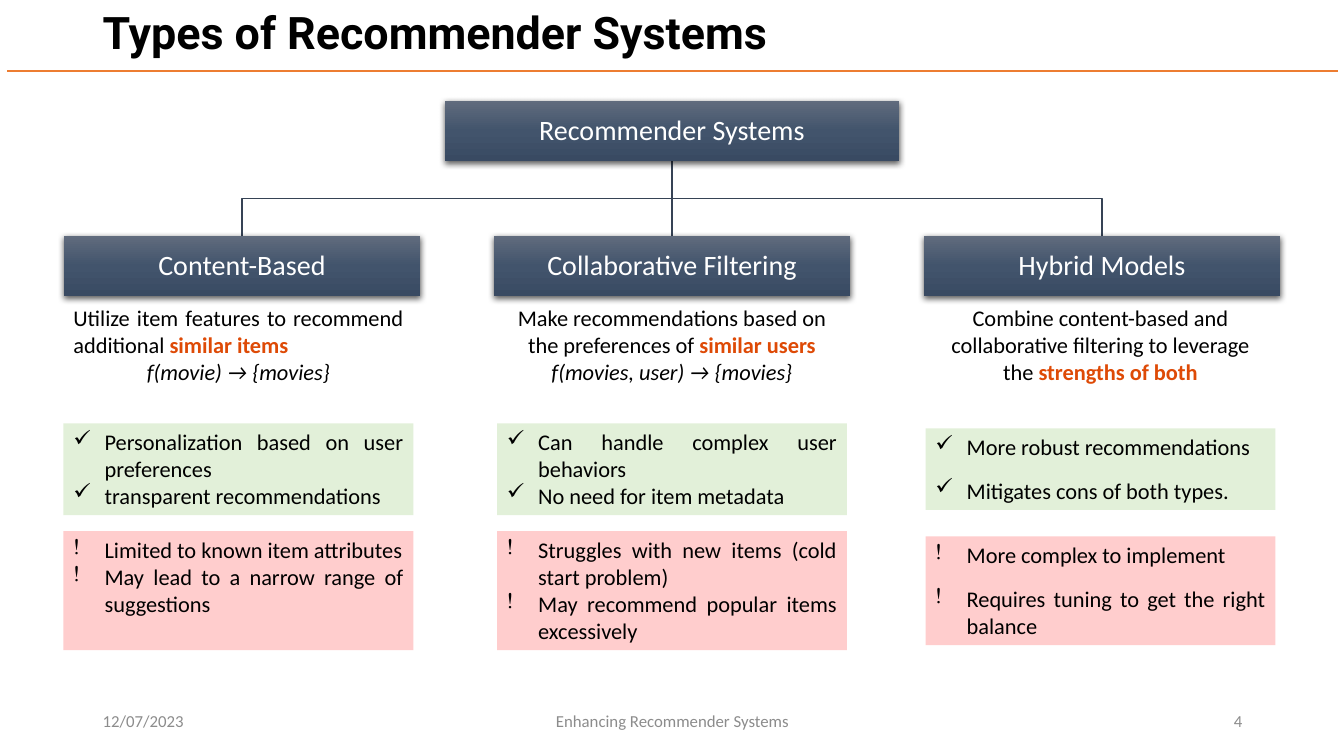
"""Builds the slide on the types of recommender systems."""
from lxml.etree import SubElement
from pptx import Presentation
from pptx.dml.color import RGBColor as RGB
from pptx.enum.shapes import MSO_CONNECTOR as LINE, MSO_SHAPE as SHAPE
from pptx.enum.text import MSO_ANCHOR as ANCHOR, PP_ALIGN as ALIGN
from pptx.oxml import parse_xml
from pptx.oxml.ns import nsdecls, qn
from pptx.util import Inches as In, Pt

BLACK, WHITE, GREY = RGB(0, 0, 0), RGB(255, 255, 255), RGB(0x8C, 0x8C, 0x8C)
ORANGE, ACCENT, NAVY = RGB(0xED, 0x7D, 0x31), RGB(0xDE, 0x4A, 0x06), RGB(0x36, 0x43, 0x55)
GREEN, PINK = RGB(0xE2, 0xF0, 0xD9), RGB(0xFF, 0xCD, 0xCD)
WIDE, HIGH = 13.33, 7.5
MID, STEP = WIDE / 2, 4.265
HEAD, TALL, CARD = 3.53, 0.6, 3.47
ROOT, ROW = 1, 2.34

prs = Presentation()
prs.slide_width, prs.slide_height = In(WIDE), In(HIGH)
slide = prs.slides.add_slide(prs.slide_layouts[6])
shapes = slide.shapes


def add_box(x, y, w, h, fill=None, anchor=ANCHOR.TOP):
    """Add a wrapping text box, or a filled rectangle when a fill is given."""
    place = In(x), In(y), In(w), In(h)
    if fill is None:
        box = shapes.add_textbox(*place)
    else:
        box = shapes.add_shape(SHAPE.RECTANGLE, *place)
        box.shadow.inherit = False
        box.line.fill.background()
        box.fill.solid()
        box.fill.fore_color.rgb = fill
    box.text_frame.word_wrap = True
    box.text_frame.vertical_anchor = anchor
    return box


def style(para, size, color, align, face="Calibri"):
    """Set the alignment of a paragraph and the font of its runs."""
    para.alignment = align
    for run in para.runs:
        run.font.size, run.font.name = Pt(size), face
        run.font.color.rgb = color


rule = shapes.add_connector(LINE.STRAIGHT, In(0.07), In(0.7), In(13.27), In(0.7))
rule.line.color.rgb, rule.line.width = ORANGE, Pt(1.5)
SubElement(rule._element.spPr, qn("a:effectLst"))

title = add_box(0.92, 0.06, 11.5, 0.58, anchor=ANCHOR.MIDDLE).text_frame
title.text = "Types of Recommender Systems"
para = title.paragraphs[0]
style(para, 32, BLACK, ALIGN.LEFT, "Roboto")
para.line_spacing = 0.9
para.runs[0].font.bold = True

for x, w, text, align in [
    (0.92, 3, "12/07/2023", ALIGN.LEFT),
    (4.42, 4.5, "Enhancing Recommender Systems", ALIGN.CENTER),
    (9.42, 3, "4", ALIGN.RIGHT),
]:
    foot = add_box(x, 6.95, w, 0.4, anchor=ANCHOR.MIDDLE).text_frame
    foot.text = text
    style(foot.paragraphs[0], 12, GREY, align)

hubs = [MID + STEP * i for i in (-1, 0, 1)]
turn = (ROOT + TALL + ROW) / 2
for hub in hubs:
    pen = shapes.build_freeform(In(MID), In(ROOT + TALL))
    bends = [(MID, turn), (hub, turn), (hub, ROW)]
    pen.add_line_segments([(In(x), In(y)) for x, y in bends], close=False)
    link = pen.convert_to_shape()
    link.shadow.inherit = False
    link.fill.background()
    link.line.color.rgb, link.line.width = NAVY, Pt(1)

names = ["Content-Based", "Collaborative Filtering", "Hybrid Models"]
nodes = [(MID, ROOT, 4.5, "Recommender Systems")]
nodes += [(hub, ROW, HEAD, name) for hub, name in zip(hubs, names)]
stops = "".join(
    f'<a:gs pos="{pos}"><a:srgbClr val="{tone}"/></a:gs>'
    for pos, tone in [(0, "606B7D"), (50000, "42546C"), (100000, "394A62")]
)
for hub, y, w, name in nodes:
    node = add_box(hub - w / 2, y, w, TALL, NAVY, ANCHOR.MIDDLE)
    props = node._element.spPr
    props.replace(props.find(qn("a:solidFill")), parse_xml(
        f'<a:gradFill {nsdecls("a")} rotWithShape="1"><a:gsLst>{stops}</a:gsLst>'
        '<a:lin ang="5400000" scaled="0"/></a:gradFill>'))
    props.find(qn("a:effectLst")).append(parse_xml(
        f'<a:outerShdw {nsdecls("a")} blurRad="57150" dist="19050" dir="5400000" '
        'algn="ctr" rotWithShape="0"><a:srgbClr val="000000">'
        '<a:alpha val="63000"/></a:srgbClr></a:outerShdw>'))
    frame = node.text_frame
    frame.margin_left = frame.margin_right = In(0.01)
    frame.margin_top = frame.margin_bottom = In(0.01)
    frame.text = name
    style(frame.paragraphs[0], 20, WHITE, ALIGN.CENTER)
    frame.paragraphs[0].line_spacing = 0.9

cols = [
    (0.63, 0, 0,
     [(ALIGN.JUSTIFY, [("Utilize item features to recommend additional ", ""),
                       ("similar items", "key")]),
      (ALIGN.CENTER, [("f(movie) → {movies}", "math")])],
     ["Personalization based on user preferences", "transparent recommendations"],
     ["Limited to known item attributes", "May lead to a narrow range of suggestions"]),
    (4.93, 0, 0,
     [(ALIGN.CENTER, [("Make recommendations based on the preferences of ", ""),
                      ("similar users ", "key"),
                      ("f(movies, user) → {movies}", "math")])],
     ["Can handle complex user behaviors", "No need for item metadata"],
     ["Struggles with new items (cold start problem) ",
      "May recommend popular items excessively"]),
    (9.18, 0.05, 12,
     [(ALIGN.CENTER, [("Combine content-based and collaborative filtering to leverage the ", ""),
                      ("strengths of both", "key")])],
     ["More robust recommendations", "Mitigates cons of both types."],
     ["More complex to implement", "Requires tuning to get the right balance"]),
]
for x, drop, gap, intro, pros, cons in cols:
    frame = add_box(x, 2.97, CARD, 0.91).text_frame
    for i, (align, parts) in enumerate(intro):
        para = frame.add_paragraph() if i else frame.paragraphs[0]
        for text, kind in parts:
            run = para.add_run()
            run.text = text
            run.font.bold, run.font.italic = kind == "key", kind == "math"
        style(para, 16, BLACK, align)
        for run in para.runs:
            if run.font.bold:
                run.font.color.rgb = ACCENT

    for y, h, fill, mark, items in [
        (4.2, 0.91, GREEN, "✓", pros),
        (5.27, 1.18, PINK, "!", cons),
    ]:
        frame = add_box(x, y + drop, CARD, h - 2 * drop, fill).text_frame
        frame.text = "\n".join(items)
        for para in frame.paragraphs:
            style(para, 16, BLACK, ALIGN.JUSTIFY)
            para.space_after = Pt(gap)
            props = para._p.get_or_add_pPr()
            props.set("marL", str(In(0.31)))
            props.set("indent", str(-In(0.31)))
            SubElement(props, qn("a:buChar")).set("char", mark)

prs.save("out.pptx")
